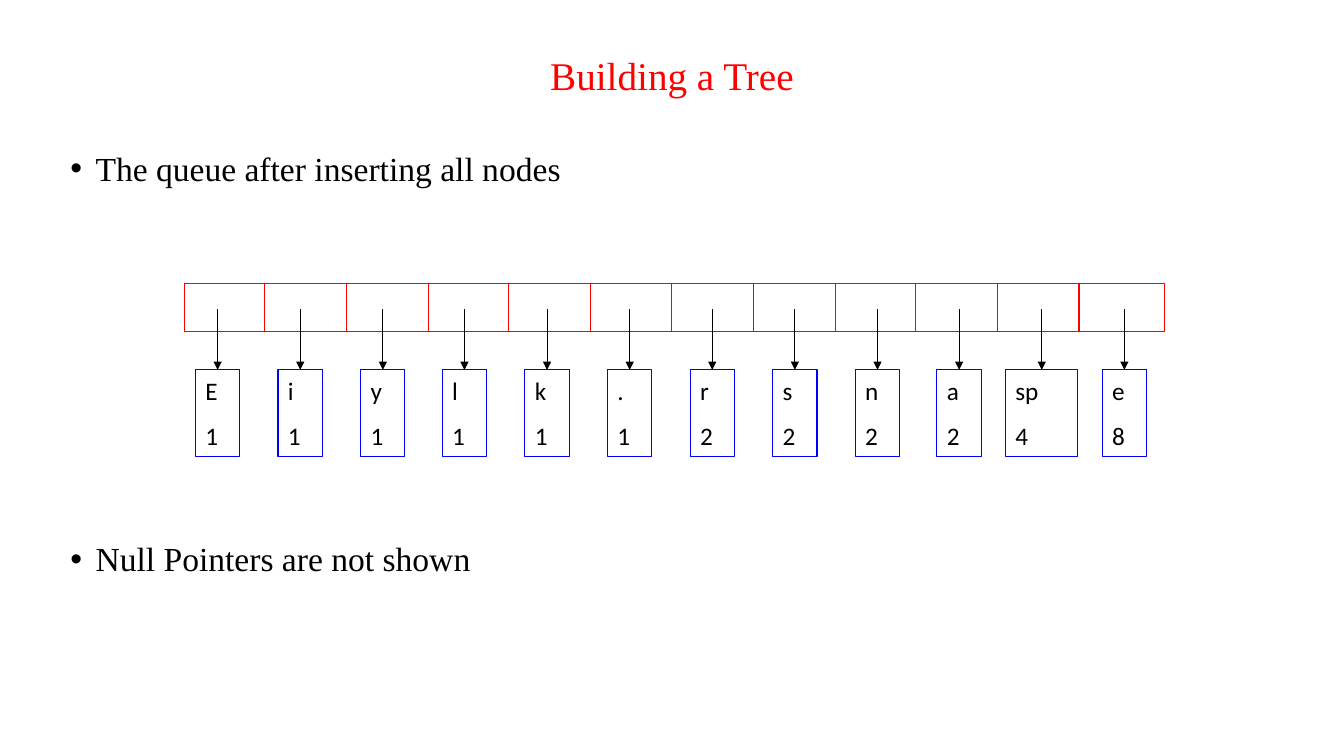
from dataclasses import dataclass
from lxml.etree import SubElement
from pptx import Presentation
from pptx.dml.color import RGBColor
from pptx.enum.shapes import MSO_CONNECTOR as Connector, MSO_SHAPE as Shape
from pptx.enum.text import MSO_ANCHOR as Anchor, PP_ALIGN as Align
from pptx.oxml.ns import qn
from pptx.util import Pt

TITLE = "Building a Tree"
BULLETS = ["The queue after inserting all nodes", "Null Pointers are not shown"]
NODES = [
    ("E", 1), ("i", 1), ("y", 1), ("l", 1), ("k", 1), (".", 1),
    ("r", 2), ("s", 2), ("n", 2), ("a", 2), ("sp", 4), ("e", 8),
]


@dataclass(frozen=True)
class Theme:
    title: RGBColor = RGBColor(255, 0, 0)
    queue: RGBColor = RGBColor(255, 0, 0)
    queue_fill: RGBColor = RGBColor(255, 255, 255)
    node: RGBColor = RGBColor(0, 0, 255)
    ink: RGBColor = RGBColor(0, 0, 0)
    heading_font: str = "Times New Roman"
    node_font: str = "Calibri"
    title_size: int = 28
    body_size: int = 24
    node_size: int = 18
    line_width: float = 0.75


THEME = Theme()
PX = 9144
SLIDE_SIZE = (1334, 750)
TITLE_BOX = (92, 40, 1150, 75)
BODY_BOX = (60, 146, 1106, 483)
BULLET_INDENT = 25
BULLET_GAP = 253
QUEUE_BOX = (183, 281, 973, 48)
FIRST_DIVIDER, LAST_DIVIDER = 263, 1071
FIRST_CENTER, LAST_CENTER = 216, 1116
ARROW_TOP = 307
NODE_TOP, NODE_HEIGHT = 367, 86
NARROW_NODE, WIDE_NODE = 44, 72
NODE_GAP = 11.2


def px(*lengths):
    return [round(length) * PX for length in lengths]


def spread(first, last, count):
    return [round(first + (last - first) * i / (count - 1)) for i in range(count)]


def style(paragraph, font_name, size, color):
    for run in paragraph.runs:
        run.font.name = font_name
        run.font.size = Pt(size)
        run.font.color.rgb = color


def add_text(slide, box, text):
    text_frame = slide.shapes.add_textbox(*px(*box)).text_frame
    text_frame.word_wrap = True
    text_frame.text = text
    for paragraph in text_frame.paragraphs:
        paragraph.line_spacing = 0.9
    return text_frame


def add_title(slide):
    text_frame = add_text(slide, TITLE_BOX, TITLE)
    text_frame.vertical_anchor = Anchor.MIDDLE
    paragraph = text_frame.paragraphs[0]
    paragraph.alignment = Align.CENTER
    style(paragraph, THEME.heading_font, THEME.title_size, THEME.title)


def add_bullets(slide):
    text_frame = add_text(slide, BODY_BOX, "\n".join(BULLETS))
    for index, paragraph in enumerate(text_frame.paragraphs):
        if index:
            paragraph.space_before = Pt(BULLET_GAP)
        properties = paragraph._p.get_or_add_pPr()
        properties.set("marL", str(BULLET_INDENT * PX))
        properties.set("indent", str(-BULLET_INDENT * PX))
        SubElement(properties, qn("a:buFont"), typeface="Arial")
        SubElement(properties, qn("a:buChar"), char="•")
        style(paragraph, THEME.heading_font, THEME.body_size, THEME.ink)


def add_box(slide, box, line_color):
    shape = slide.shapes.add_shape(Shape.RECTANGLE, *px(*box))
    shape.shadow.inherit = False
    shape.fill.background()
    shape.line.color.rgb = line_color
    shape.line.width = Pt(THEME.line_width)
    return shape


def add_line(slide, x, top, bottom, color):
    connector = slide.shapes.add_connector(Connector.STRAIGHT, *px(x, top, x, bottom))
    connector.line.color.rgb = color
    connector.line.width = Pt(THEME.line_width)
    SubElement(connector._element.spPr, qn("a:effectLst"))
    return connector


def add_queue(slide):
    queue = add_box(slide, QUEUE_BOX, THEME.queue)
    queue.fill.solid()
    queue.fill.fore_color.rgb = THEME.queue_fill
    _, top, _, height = QUEUE_BOX
    for x in spread(FIRST_DIVIDER, LAST_DIVIDER, len(NODES) - 1):
        add_line(slide, x, top, top + height, THEME.queue)


def add_node(slide, center, symbol, count):
    width = WIDE_NODE if len(symbol) > 1 else NARROW_NODE
    node = add_box(slide, (center - width / 2, NODE_TOP, width, NODE_HEIGHT), THEME.node)
    text_frame = node.text_frame
    text_frame.vertical_anchor = Anchor.TOP
    text_frame.text = f"{symbol}\n{count}"
    for index, paragraph in enumerate(text_frame.paragraphs):
        paragraph.alignment = Align.LEFT
        if index:
            paragraph.space_before = Pt(NODE_GAP)
        style(paragraph, THEME.node_font, THEME.node_size, THEME.ink)

    arrow = add_line(slide, center, ARROW_TOP, NODE_TOP, THEME.ink)
    arrow.end_connect(node, 0)
    SubElement(arrow.line._get_or_add_ln(), qn("a:tailEnd"), type="triangle")


def main():
    presentation = Presentation()
    presentation.slide_width, presentation.slide_height = px(*SLIDE_SIZE)
    slide = presentation.slides.add_slide(presentation.slide_layouts[6])
    add_title(slide)
    add_bullets(slide)
    add_queue(slide)
    centers = spread(FIRST_CENTER, LAST_CENTER, len(NODES))
    for center, (symbol, count) in zip(centers, NODES):
        add_node(slide, center, symbol, count)
    presentation.save("out.pptx")


if __name__ == "__main__":
    main()
